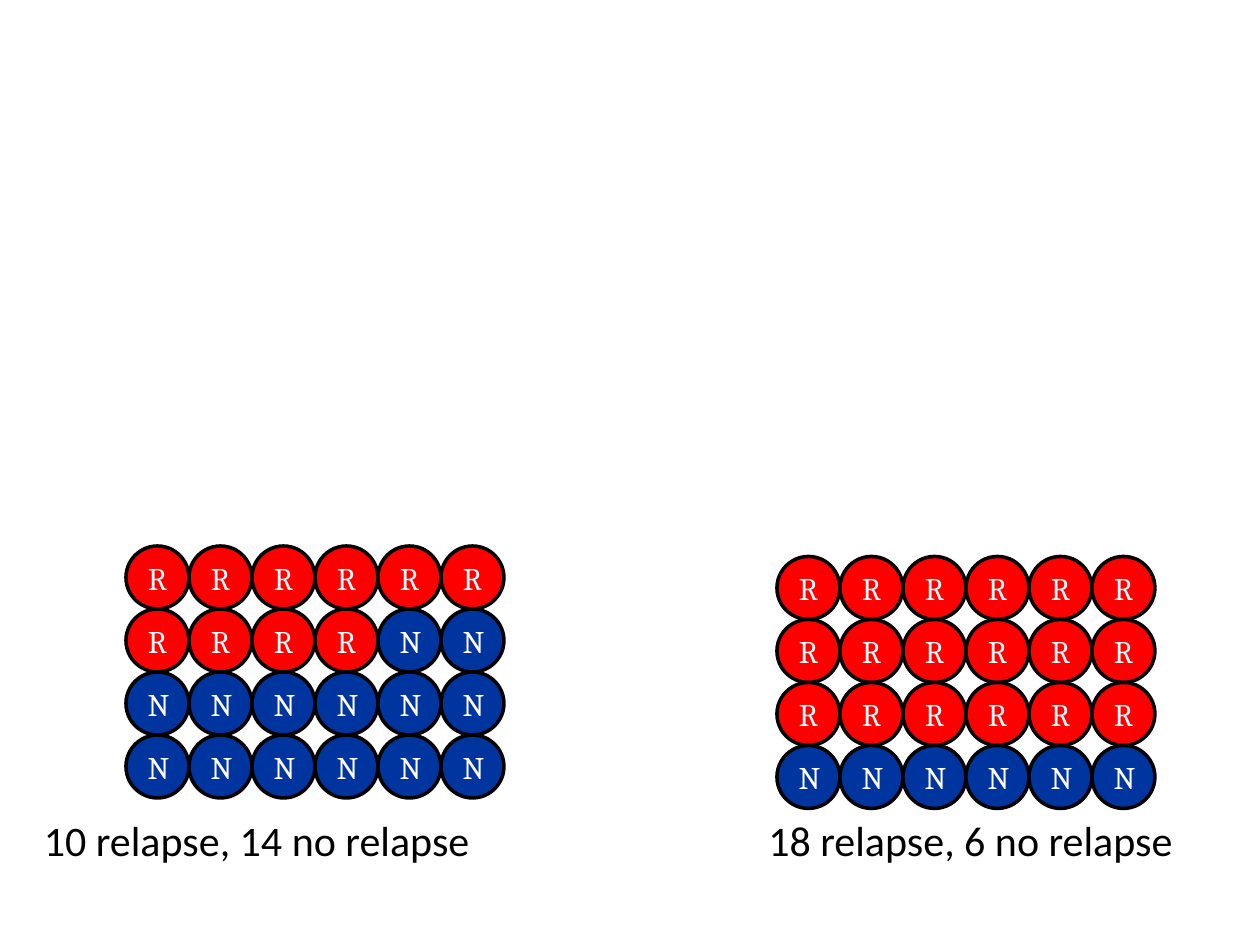
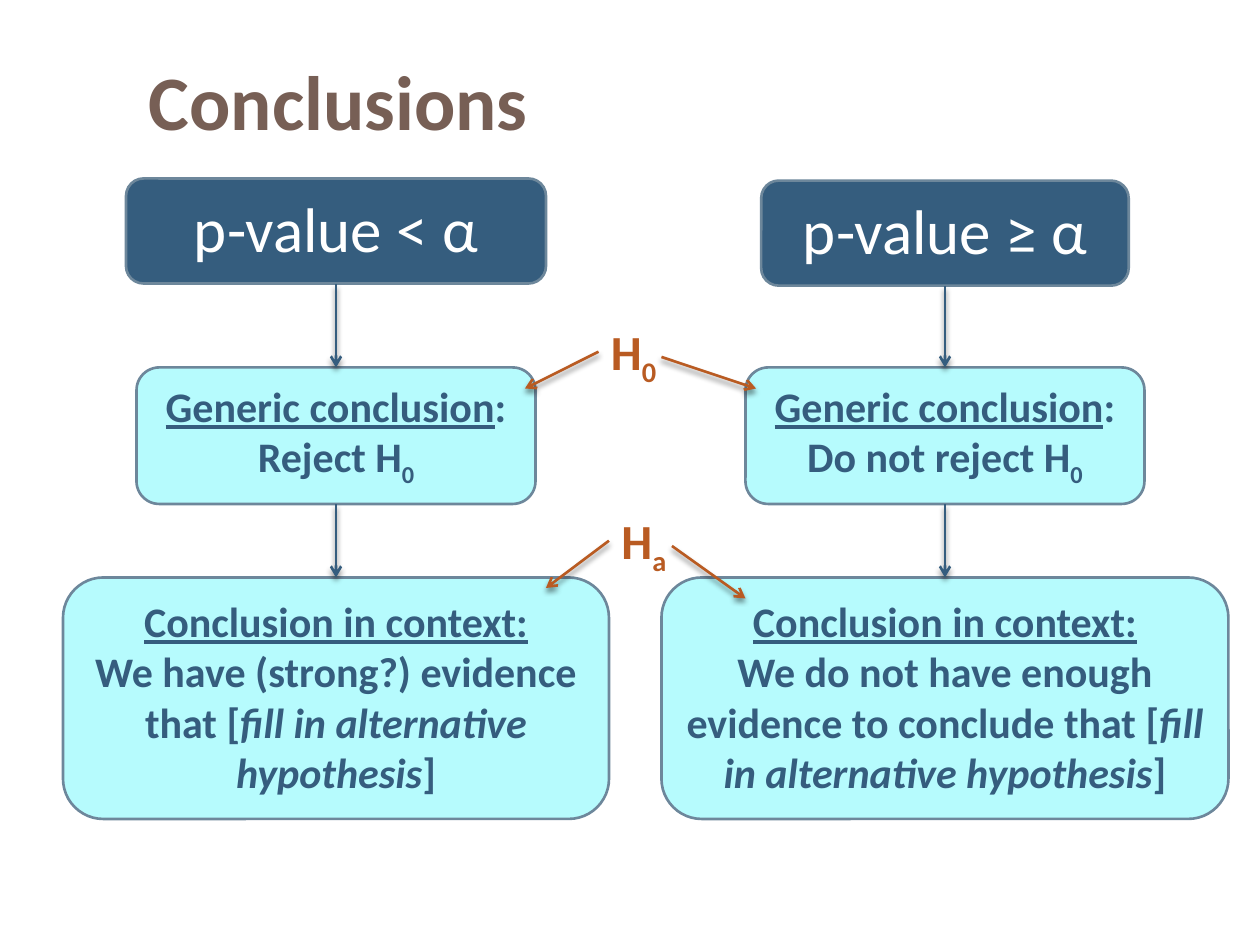
from dataclasses import dataclass

from lxml import etree
from pptx import Presentation
from pptx import util as u
from pptx.dml.color import RGBColor
from pptx.enum import shapes, text
from pptx.oxml import ns

PX = u.Inches(1) // 120


@dataclass(frozen=True)
class Theme:
    sans: str = "Calibri"
    serif: str = "Cambria"
    white: str = "FFFFFF"
    black: str = "000000"
    relapse: str = "FF0000"
    no_relapse: str = "00349E"
    title: str = "775F55"
    navy: str = "355D7E"
    aqua: str = "B6FBFD"
    border: str = "6D879B"
    rust: str = "B95B22"
    title_size: int = 44
    test_size: int = 36
    symbol_size: int = 28
    body_size: int = 24
    mark_size: int = 18
    ring_width: float = 2
    line_width: float = 1.5


T = Theme()


@dataclass(frozen=True)
class Box:
    x: int
    y: int
    w: int
    h: int


@dataclass(frozen=True)
class Span:
    words: str
    underline: bool = False
    italic: bool = False
    sub: bool = False


@dataclass(frozen=True)
class Style:
    size: int
    color: str
    bold: bool = False
    font: str = T.sans
    align: text.PP_ALIGN = text.PP_ALIGN.LEFT
    anchor: text.MSO_ANCHOR = text.MSO_ANCHOR.TOP


@dataclass(frozen=True)
class Sample:
    x: int
    y: int
    relapses: int
    caption_x: int
    caption: str


@dataclass(frozen=True)
class Branch:
    center: int
    top: int
    test: str
    test_w: int
    decision: str
    context: str
    context_w: int


@dataclass(frozen=True)
class Hypothesis:
    box: Box
    index: str
    arrows: tuple[tuple[int, int, int, int], ...]


CENTER, MIDDLE = text.PP_ALIGN.CENTER, text.MSO_ANCHOR.MIDDLE
TITLE = Style(T.title_size, T.title, bold=True, anchor=MIDDLE)
CAPTION = Style(T.body_size, T.black)
MARK = Style(T.mark_size, T.white, font=T.serif, align=CENTER, anchor=MIDDLE)
TEST = Style(T.test_size, T.white, align=CENTER)
CONCLUSION = Style(T.body_size, T.navy, bold=True, align=CENTER)
SYMBOL = Style(T.symbol_size, T.rust, bold=True)

Lines = list[list[Span]]

COLUMNS, ROWS, DOT = 6, 4, 60
SAMPLES = (
    Sample(120, 520, 10, 30, "10 relapse, 14 no relapse"),
    Sample(740, 530, 18, 720, "18 relapse, 6 no relapse"),
)

TEST_H = 100
GENERIC_Y, GENERIC_W, GENERIC_H = 350, 380, 130
CONTEXT_Y, CONTEXT_H = 550, 230
BRANCHES = (
    Branch(320, 170, "p-value < α", 400, "Reject H",
           "We have (strong?) evidence that [", 520),
    Branch(900, 172, "p-value ≥ α", 350, "Do not reject H",
           "We do not have enough evidence to conclude that [", 540),
)
HYPOTHESES = (
    Hypothesis(Box(570, 300, 90, 68), "0",
               ((570, 335, 500, 370), (630, 340, 720, 370))),
    Hypothesis(Box(580, 480, 90, 68), "a",
               ((580, 515, 520, 560), (640, 520, 710, 570))),
)


def rgb(color: str) -> RGBColor:
    return RGBColor.from_string(color)


def place(box: Box) -> list[int]:
    return [v * PX for v in (box.x, box.y, box.w, box.h)]


def write(sp, lines: Lines, style: Style) -> None:
    tf = sp.text_frame
    tf.word_wrap = True
    tf.vertical_anchor = style.anchor
    for i, spans in enumerate(lines):
        p = tf.add_paragraph() if i else tf.paragraphs[0]
        p.alignment = style.align
        for span in spans:
            r = p.add_run()
            r.text = span.words
            r.font.name = style.font
            r.font.size = u.Pt(style.size)
            r.font.bold = style.bold
            r.font.color.rgb = rgb(style.color)
            r.font.underline = span.underline
            r.font.italic = span.italic
            if span.sub:
                r._r.get_or_add_rPr().set("baseline", "-25000")


def add_label(s, box: Box, lines: Lines, style: Style, grow: bool = True) -> None:
    sp = s.shapes.add_textbox(*place(box))
    write(sp, lines, style)
    if grow:
        sp.text_frame.auto_size = text.MSO_AUTO_SIZE.SHAPE_TO_FIT_TEXT


def add_panel(s, kind: shapes.MSO_SHAPE, box: Box, fill: str, line: str,
              width: float, lines: Lines, style: Style) -> None:
    sp = s.shapes.add_shape(kind, *place(box))
    sp.shadow.inherit = False
    sp.fill.solid()
    sp.fill.fore_color.rgb = rgb(fill)
    sp.line.color.rgb = rgb(line)
    sp.line.width = u.Pt(width)
    write(sp, lines, style)


def add_arrow(s, x1: int, y1: int, x2: int, y2: int, color: str) -> None:
    ends = [v * PX for v in (x1, y1, x2, y2)]
    cx = s.shapes.add_connector(shapes.MSO_CONNECTOR.STRAIGHT, *ends)
    cx.line.color.rgb = rgb(color)
    cx.line.width = u.Pt(T.line_width)
    sp_pr = cx._element.spPr
    ln = sp_pr.find(ns.qn("a:ln"))
    etree.SubElement(ln, ns.qn("a:tailEnd"), type="arrow")
    effects = etree.SubElement(sp_pr, ns.qn("a:effectLst"))
    shadow = etree.SubElement(
        effects, ns.qn("a:outerShdw"), blurRad=str(u.Pt(3)),
        dist=str(u.Pt(2.4)), dir="5400000", rotWithShape="0")
    tint = etree.SubElement(shadow, ns.qn("a:srgbClr"), val=T.black)
    etree.SubElement(tint, ns.qn("a:alpha"), val="45000")


def draw_sample(s, sample: Sample) -> None:
    for i in range(ROWS * COLUMNS):
        row, column = divmod(i, COLUMNS)
        box = Box(sample.x + column * DOT, sample.y + row * DOT, DOT, DOT)
        mark, fill = ("R", T.relapse) if i < sample.relapses else ("N", T.no_relapse)
        add_panel(s, shapes.MSO_SHAPE.OVAL, box, fill, T.black, T.ring_width,
                  [[Span(mark)]], MARK)
    add_label(s, Box(sample.caption_x, 770, 450, 60), [[Span(sample.caption)]], CAPTION)


def draw_branch(s, b: Branch) -> None:
    generic = [[Span("Generic conclusion", underline=True), Span(":")],
               [Span(b.decision), Span("0", sub=True)]]
    context = [[Span("Conclusion in context:", underline=True)],
               [Span(b.context), Span("fill in alternative hypothesis", italic=True),
                Span("]")]]
    steps = (
        (b.top, b.test_w, TEST_H, T.navy, [[Span(b.test)]], TEST),
        (GENERIC_Y, GENERIC_W, GENERIC_H, T.aqua, generic, CONCLUSION),
        (CONTEXT_Y, b.context_w, CONTEXT_H, T.aqua, context, CONCLUSION),
    )
    for y, w, h, fill, lines, style in steps:
        add_panel(s, shapes.MSO_SHAPE.ROUNDED_RECTANGLE,
                  Box(b.center - w // 2, y, w, h), fill, T.border, T.line_width,
                  lines, style)
    for upper, lower in zip(steps, steps[1:]):
        add_arrow(s, b.center, upper[0] + upper[2], b.center, lower[0], T.navy)


def main() -> None:
    prs = Presentation()
    prs.slide_width, prs.slide_height = 1200 * PX, 900 * PX
    blank = prs.slide_layouts[6]

    s = prs.slides.add_slide(blank)
    for sample in SAMPLES:
        draw_sample(s, sample)

    s = prs.slides.add_slide(blank)
    add_label(s, Box(130, 30, 1070, 130), [[Span("Conclusions")]], TITLE, grow=False)
    for branch in BRANCHES:
        draw_branch(s, branch)
    for hypothesis in HYPOTHESES:
        add_label(s, hypothesis.box, [[Span("H"), Span(hypothesis.index, sub=True)]], SYMBOL)
        for arrow in hypothesis.arrows:
            add_arrow(s, *arrow, T.rust)

    prs.save("out.pptx")


if __name__ == "__main__":
    main()
